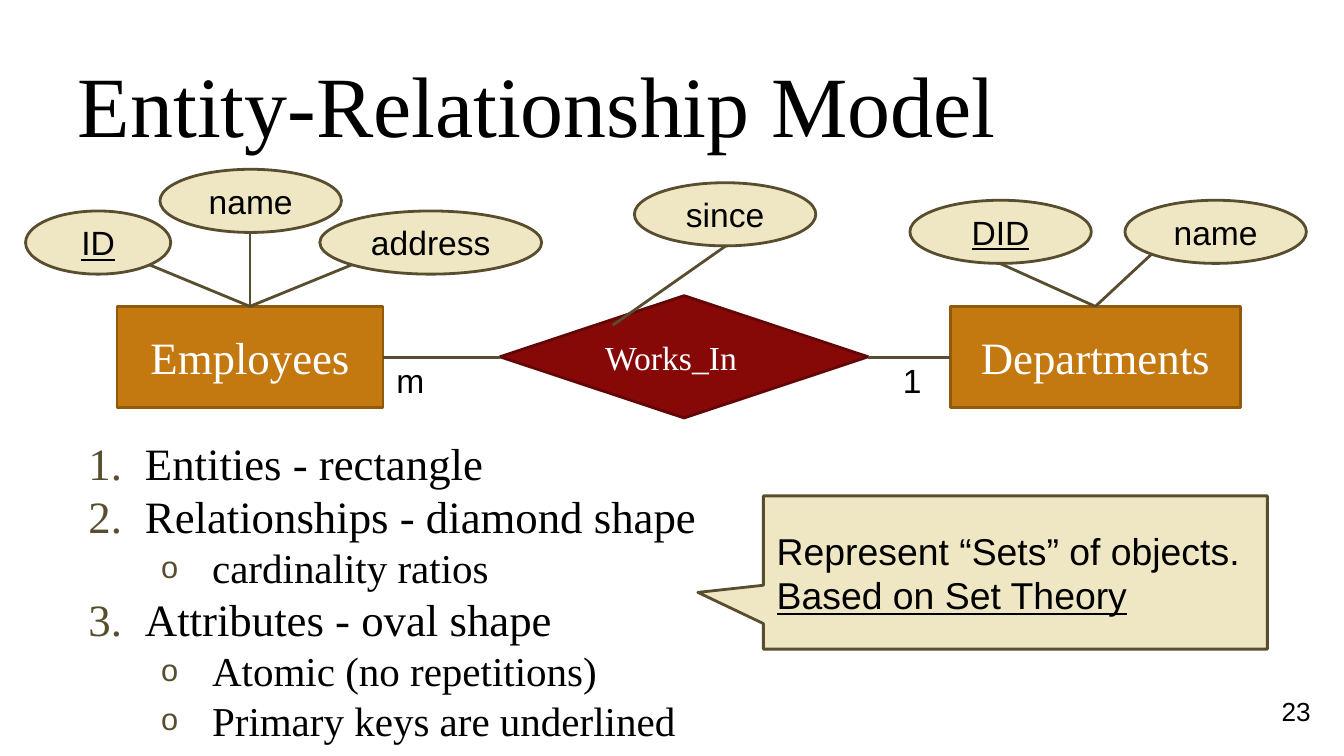
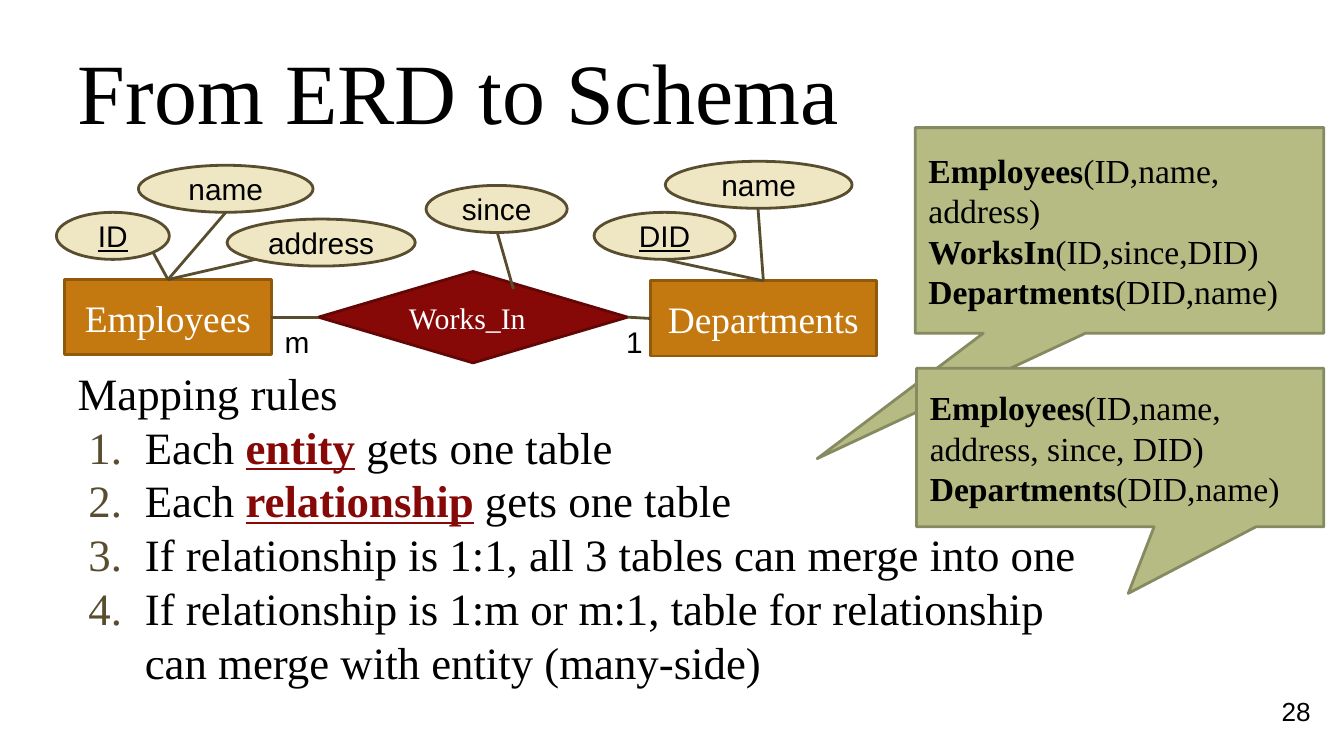
from math import sqrt

from lxml.etree import SubElement
from pptx import Presentation
from pptx.dml.color import RGBColor
from pptx.enum.shapes import MSO_CONNECTOR, MSO_SHAPE
from pptx.enum.text import MSO_ANCHOR, MSO_AUTO_SIZE, PP_ALIGN
from pptx.oxml.ns import qn
from pptx.util import Pt

PX = 9144  # 100 px to the inch
SERIF, SANS = "Times New Roman", "Arial"
BLACK, WHITE, RED, BROWN = "000000", "FFFFFF", "860908", "584D2E"
color = RGBColor.from_string

# look: preset shape, fill, line, font, font colour, alignment
LOOKS = {
    "entity": (MSO_SHAPE.RECTANGLE, "C47810", "91590C", SERIF, WHITE, PP_ALIGN.CENTER),
    "relationship": (MSO_SHAPE.DIAMOND, RED, "630706", SERIF, WHITE, PP_ALIGN.LEFT),
    "attribute": (MSO_SHAPE.OVAL, "EFE7C3", BROWN, SANS, BLACK, PP_ALIGN.CENTER),
    "remark": (MSO_SHAPE.ROUNDED_RECTANGULAR_CALLOUT, "EFE7C3", BROWN, SANS, BLACK, PP_ALIGN.LEFT),
    "schema": (MSO_SHAPE.ROUNDED_RECTANGULAR_CALLOUT, "B5BB83", "868A61", SERIF, BLACK, PP_ALIGN.LEFT),
}


def write(shape, paragraphs, size, font, font_color, align=PP_ALIGN.LEFT):
    """Fill a shape with paragraphs, each a list of (text, style) runs.

    Style letters: b bold, u underlined, r red.
    """
    frame = shape.text_frame
    frame.word_wrap = True
    for index, runs in enumerate(paragraphs):
        paragraph = frame.add_paragraph() if index else frame.paragraphs[0]
        paragraph.alignment = align
        for text, style in runs:
            run = paragraph.add_run()
            run.text = text
            run.font.name, run.font.size = font, Pt(size)
            run.font.bold, run.font.underline = "b" in style, "u" in style
            run.font.color.rgb = color(RED if "r" in style else font_color)


def add_box(shapes, look, place, paragraphs, size):
    preset, fill, line, font, font_color, align = LOOKS[look]
    shape = shapes.add_shape(preset, *[PX * value for value in place])
    shape.shadow.inherit = False
    shape.fill.solid()
    shape.fill.fore_color.rgb = color(fill)
    shape.line.color.rgb = color(line)
    shape.line.width = Pt(1.5)
    frame = shape.text_frame
    frame.margin_left = frame.margin_right = frame.margin_top = frame.margin_bottom = 10 * PX
    frame.vertical_anchor = MSO_ANCHOR.MIDDLE
    write(shape, paragraphs, size, font, font_color, align)
    return shape


# Attributes: text, style, place, side where the line leaves, line target
SLIDES = [
    {
        "title": "Entity-Relationship Model", "title_height": 71, "number": "23",
        "body_place": (48, 319, 598, 225),
        "body": [
            ("number", [("Entities - rectangle", "")]),
            ("number", [("Relationships - diamond shape", "")]),
            ("circle", [("cardinality ratios", "")]),
            ("number", [("Attributes - oval shape", "")]),
            ("circle", [("Atomic (no repetitions)", "")]),
            ("circle", [("Primary keys are underlined", "")]),
        ],
        "grouped": False, "entity_size": 24, "small_size": 18,
        "employees": (87, 228, 198, 75), "departments": (707, 228, 216, 75),
        "works_in": (372, 220, 274, 91),
        "attributes": [
            ("ID", "u", (19, 157, 108, 47), 1, "employees"),
            ("name", "", (119, 126, 135, 47), 0, "employees"),
            ("name", "", (837, 149, 135, 47), -1, "departments"),
            ("DID", "u", (677, 149, 135, 47), 0, "departments"),
            ("address", "", (238, 157, 165, 47), -1, "employees"),
            ("since", "", (472, 136, 135, 47), 0, (456, 242)),
        ],
        "cardinalities": [("1", (662, 258, 42, 58)), ("m", (285, 258, 42, 58))],
        "callouts": [
            ("remark", (568, 369, 375, 114), (-0.63, 0.13, 0), 20,
             [[("Represent “Sets” of objects.", "")], [("Based on Set Theory", "u")]]),
        ],
    },
    {
        "title": "From ERD to Schema", "title_height": 52, "number": "28",
        "body_place": (48, 267, 774, 275),
        "body": [
            ("plain", [("Mapping rules", "")]),
            ("number", [("Each ", ""), ("entity", "bur"), (" gets one table", "")]),
            ("number", [("Each ", ""), ("relationship", "bur"), (" gets one table", "")]),
            ("number", [("If relationship is 1:1, all 3 tables can merge into one", "")]),
            ("number", [("If relationship is 1:m or m:1, table for relationship "
                         "can merge with entity (many-side)", "")]),
        ],
        "grouped": True, "entity_size": 20, "small_size": 16,
        "employees": (48, 208, 154, 56), "departments": (484, 209, 168, 56),
        "works_in": (237, 202, 230, 68),
        "attributes": [
            ("ID", "u", (42, 158, 84, 35), 1, "employees"),
            ("name", "", (103, 123, 130, 35), 0, "employees"),
            ("name", "", (495, 120, 139, 35), 0, "departments"),
            ("DID", "u", (442, 158, 105, 35), 0, "departments"),
            ("address", "", (169, 163, 140, 35), -1, "employees"),
            ("since", "", (317, 138, 105, 35), 0, (382, 215)),
        ],
        "cardinalities": [("1", (456, 231, 33, 43)), ("m", (202, 231, 33, 43))],
        "callouts": [
            ("schema", (681, 95, 304, 153), (-0.74, 1.11, 0), 18,
             [[("Employees", "b"), ("(ID,name,", "")], [("address)", "")],
              [("WorksIn", "b"), ("(ID,since,DID)", "")],
              [("Departments", "b"), ("(DID,name)", "")]]),
            ("schema", (682, 274, 303, 118), (0.02, 0.92, 0), 18,
             [[("Employees", "b"), ("(ID,name,", "")], [("address, since, DID)", "")],
              [("Departments", "b"), ("(DID,name)", "")]]),
        ],
    },
]

presentation = Presentation()
presentation.slide_width = 1000 * PX
presentation.slide_height = presentation.slide_width * 9 // 16

for content in SLIDES:
    slide = presentation.slides.add_slide(presentation.slide_layouts[5])
    title = slide.shapes.title
    title.left, title.top = 48 * PX, 41 * PX
    title.width, title.height = 852 * PX, content["title_height"] * PX
    title.text_frame.auto_size = MSO_AUTO_SIZE.NONE
    title.text_frame.vertical_anchor = MSO_ANCHOR.MIDDLE
    write(title, [[(content["title"], "")]], 46, SERIF, BLACK)

    # Numbered rules with a circled second level
    body = slide.shapes.add_textbox(*[PX * value for value in content["body_place"]])
    write(body, [runs for kind, runs in content["body"]], 24, SERIF, BLACK)
    for (kind, runs), paragraph in zip(content["body"], body.text_frame.paragraphs):
        if kind == "plain":
            continue
        margin, indent = (50, -42) if kind == "number" else (100, -38)
        properties = paragraph._p.get_or_add_pPr()
        properties.set("marL", str(margin * PX))
        properties.set("indent", str(indent * PX))
        bullet_color = SubElement(properties, qn("a:buClr"))
        SubElement(bullet_color, qn("a:srgbClr"), val=BROWN)
        if kind == "number":
            SubElement(properties, qn("a:buFont"), typeface=SERIF)
            SubElement(properties, qn("a:buAutoNum"), type="arabicPeriod")
        else:
            paragraph.level = 1
            SubElement(properties, qn("a:buSzPct"), val="75000")
            SubElement(properties, qn("a:buFont"), typeface=SANS)
            SubElement(properties, qn("a:buChar"), char="o")
            for run in paragraph.runs:
                run.font.size = Pt(22)

    number = slide.shapes.add_textbox(823 * PX, 517 * PX, 162 * PX, 24 * PX)
    number.text_frame.vertical_anchor = MSO_ANCHOR.MIDDLE
    write(number, [[(content["number"], "")]], 14, SANS, BLACK, PP_ALIGN.RIGHT)

    # Diagram
    shapes = slide.shapes.add_group_shape().shapes if content["grouped"] else slide.shapes
    small_size = content["small_size"]
    tops, middles = {}, {}
    for key, look, text, size in [
        ("employees", "entity", "Employees", content["entity_size"]),
        ("departments", "entity", "Departments", content["entity_size"]),
        ("works_in", "relationship", "Works_In", small_size),
    ]:
        left, top, width, height = content[key]
        add_box(shapes, look, content[key], [[(text, "")]], size)
        tops[key] = (left + width / 2, top)
        middles[key] = [(x, top + height / 2) for x in (left, left + width)]
    lines = [(middles["employees"][1], middles["works_in"][0]),
             (middles["works_in"][1], middles["departments"][0])]

    for text, style, place, side, target in content["attributes"]:
        add_box(shapes, "attribute", place, [[(text, style)]], small_size)
        left, top, width, height = place
        drop = sqrt(0.5) if side else 1
        rim = (left + width / 2 * (1 + side * drop), top + height / 2 * (1 + drop))
        lines.append((tops.get(target, target), rim))

    for start, end in lines:
        connector = shapes.add_connector(
            MSO_CONNECTOR.STRAIGHT, *[round(value) * PX for value in start + end])
        connector.line.color.rgb = color(BROWN)
        connector.line.width = Pt(1.5)
        SubElement(connector._element.spPr, qn("a:effectLst"))

    for text, place in content["cardinalities"]:
        label = shapes.add_textbox(*[PX * value for value in place])
        label.text_frame.margin_top = label.text_frame.margin_bottom = 10 * PX
        write(label, [[(text, "")]], small_size, SANS, BLACK)

    for look, place, pointer, size, paragraphs in content["callouts"]:
        callout = add_box(slide.shapes, look, place, paragraphs, size)
        for index, value in enumerate(pointer):
            callout.adjustments[index] = value

presentation.save("out.pptx")
